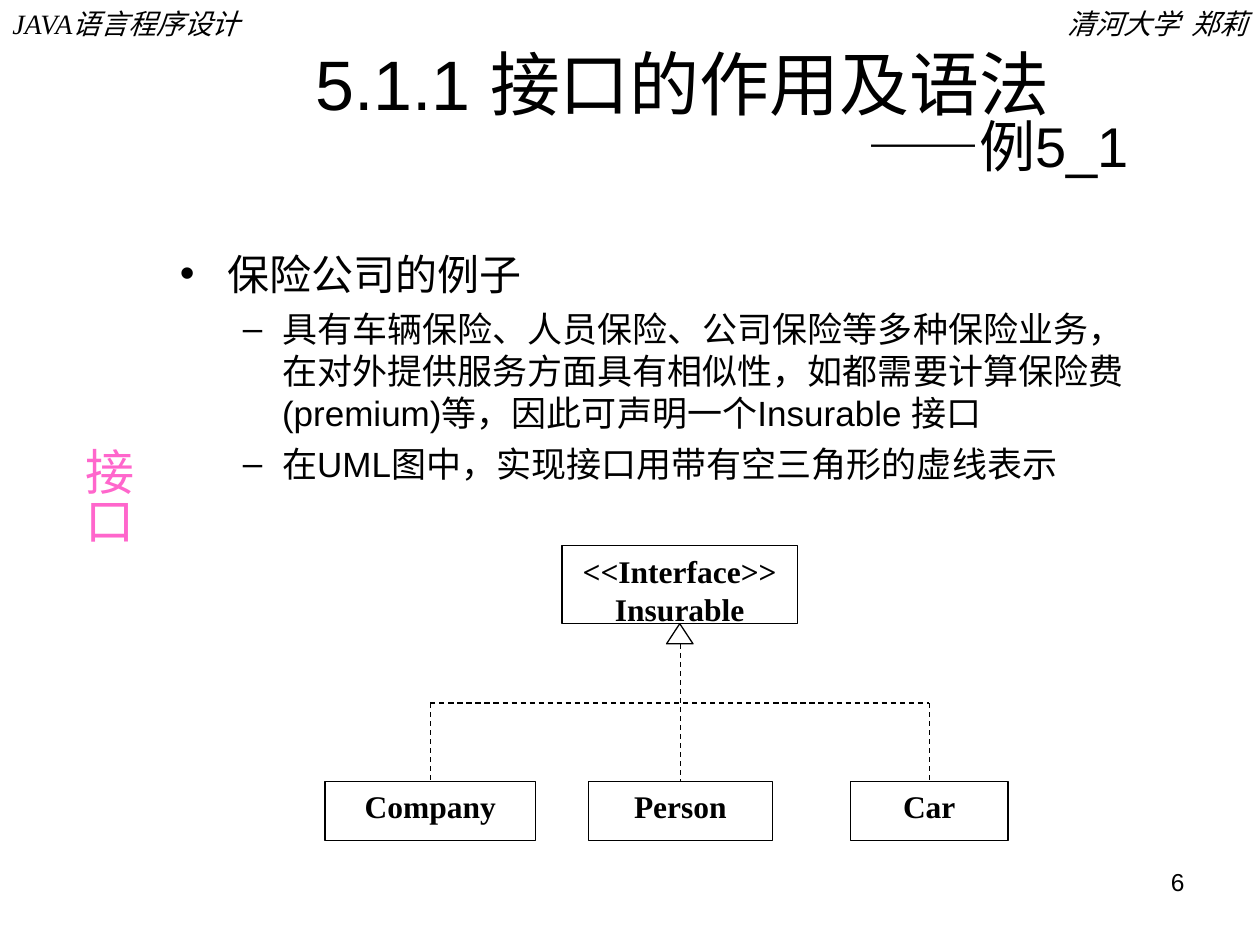
from lxml.etree import SubElement
from pptx import Presentation
from pptx.dml.color import RGBColor
from pptx.enum.dml import MSO_LINE
from pptx.enum.shapes import MSO_CONNECTOR, MSO_SHAPE
from pptx.enum.text import MSO_ANCHOR, PP_ALIGN
from pptx.oxml.ns import qn
from pptx.util import Inches, Pt

COLORS = {"ink": "000000", "side": "FF66CC"}
SANS, SERIF = "Arial", "Times New Roman"
LEFT, CENTER, RIGHT = PP_ALIGN.LEFT, PP_ALIGN.CENTER, PP_ALIGN.RIGHT

HEADERS = [
    ("清河大学  郑莉", 6.92, RIGHT),
    ("JAVA语言程序设计", 0, LEFT),
]
TITLE = [("5.1.1 接口的作用及语法", 40, 0, 0.7), ("——例5_1", 32, 5.01, 0.85)]
POINTS = [
    (0, "保险公司的例子"),
    (1, "具有车辆保险、人员保险、公司保险等多种保险业务，在对外提供服务方面具有相似性，"
        "如都需要计算保险费(premium)等，因此可声明一个Insurable 接口"),
    (1, "在UML图中，实现接口用带有空三角形的虚线表示"),
]
POINT_STYLES = [
    {"bullet": "•", "size": 24, "before": 6, "left": 0.38, "hang": 0.38},
    {"bullet": "–", "size": 20, "before": 5, "left": 0.81, "hang": 0.31},
]
SIDE_LABEL = "接口"
PAGE_NUMBER = "6"
INTERFACE = (["<<Interface>>", "Insurable"], 4.46, 1.87)
CLASSES = [("Company", 2.58, 1.67), ("Person", 4.67, 1.46), ("Car", 6.75, 1.25)]
INTERFACE_TOP, INTERFACE_HEIGHT = 4.33, 0.62
CLASS_TOP, CLASS_HEIGHT = 6.2, 0.47
BUS_Y = 5.58
ARROW_WIDTH, ARROW_HEIGHT = 0.21, 0.16


def color(name):
    return RGBColor.from_string(COLORS[name])


def style(paragraph, size, font=SANS, align=LEFT, ink="ink", bold=None, italic=None):
    paragraph.alignment = align
    paragraph.font.size = Pt(size)
    paragraph.font.name = font
    paragraph.font.color.rgb = color(ink)
    paragraph.font.bold = bold
    paragraph.font.italic = italic


def write(frame, lines):
    frame.word_wrap = True
    frame.text = "\n".join(lines)
    return frame.paragraphs


def add_text(slide, box, lines):
    frame = slide.shapes.add_textbox(*map(Inches, box)).text_frame
    return frame, write(frame, lines)


def add_outline(slide, kind, box):
    shape = slide.shapes.add_shape(kind, *map(Inches, box))
    shape.shadow.inherit = False
    shape.fill.background()
    shape.line.color.rgb = color("ink")
    shape.line.width = Pt(0.75)
    return shape


def add_class(slide, lines, box):
    shape = add_outline(slide, MSO_SHAPE.RECTANGLE, box)
    shape.text_frame.vertical_anchor = MSO_ANCHOR.TOP
    for paragraph in write(shape.text_frame, lines):
        style(paragraph, 18, SERIF, CENTER, bold=True)
    return shape


def add_dashed(slide, start, end):
    line = slide.shapes.add_connector(
        MSO_CONNECTOR.STRAIGHT, *map(Inches, (*start, *end)))
    line.line.color.rgb = color("ink")
    line.line.width = Pt(0.75)
    line.line.dash_style = MSO_LINE.DASH
    SubElement(line._element.spPr, qn("a:effectLst"))
    return line


def add_headings(slide):
    for text, left, align in HEADERS:
        _, (header,) = add_text(slide, (left, 0, 3.08, 0.37), [text])
        style(header, 16, SERIF, align, italic=True)
        header.space_before = Pt(10)

    frame, paragraphs = add_text(
        slide, (1.42, 0.25, 7.99, 1.25), [text for text, *_ in TITLE])
    frame.vertical_anchor = MSO_ANCHOR.BOTTOM
    frame.margin_bottom = Inches(0.08)
    for paragraph, (_, size, indent, spacing) in zip(paragraphs, TITLE):
        style(paragraph, size, align=CENTER)
        paragraph.line_spacing = spacing
        paragraph._p.get_or_add_pPr().set("marL", str(Inches(indent)))


def add_points(slide):
    _, paragraphs = add_text(
        slide, (1.33, 1.92, 7.92, 2.25), [text for _, text in POINTS])
    for paragraph, (level, _) in zip(paragraphs, POINTS):
        look = POINT_STYLES[level]
        style(paragraph, look["size"])
        paragraph.level = level
        paragraph.space_before = Pt(look["before"])
        properties = paragraph._p.get_or_add_pPr()
        properties.set("marL", str(Inches(look["left"])))
        properties.set("indent", str(-Inches(look["hang"])))
        run_defaults = properties.find(qn("a:defRPr"))
        for tag, attributes in (("a:buFont", {"typeface": SANS}),
                                ("a:buChar", {"char": look["bullet"]})):
            run_defaults.addprevious(properties.makeelement(qn(tag), attributes))


def add_diagram(slide):
    lines, left, width = INTERFACE
    add_class(slide, lines, (left, INTERFACE_TOP, width, INTERFACE_HEIGHT))
    middle = left + width / 2
    arrow_top = INTERFACE_TOP + INTERFACE_HEIGHT
    add_outline(slide, MSO_SHAPE.ISOSCELES_TRIANGLE,
                (middle - ARROW_WIDTH / 2, arrow_top, ARROW_WIDTH, ARROW_HEIGHT))

    centers = [left + width / 2 for _, left, width in CLASSES]
    add_dashed(slide, (centers[0], BUS_Y), (centers[-1], BUS_Y))
    starts = [BUS_Y, arrow_top + ARROW_HEIGHT, BUS_Y]
    for (name, left, width), center, start in zip(CLASSES, centers, starts):
        box = add_class(slide, [name], (left, CLASS_TOP, width, CLASS_HEIGHT))
        add_dashed(slide, (center, start), (center, CLASS_TOP)).end_connect(box, 0)


def add_margins(slide):
    frame, (label,) = add_text(slide, (0.48, 1.07, 0.66, 5.75), [SIDE_LABEL])
    style(label, 28, SERIF, LEFT, "side")
    label.space_before = Pt(17.5)
    frame.margin_left = frame.margin_right = Inches(0.05)
    frame.margin_top, frame.margin_bottom = Inches(2.48), Inches(0.1)
    frame._txBody.bodyPr.set("vert", "eaVert")

    _, (number,) = add_text(slide, (7.17, 6.83, 2.33, 0.52), [PAGE_NUMBER])
    style(number, 14, align=RIGHT)


def main():
    deck = Presentation()
    deck.slide_width, deck.slide_height = Inches(10), Inches(7.5)
    slide = deck.slides.add_slide(deck.slide_layouts[6])
    add_headings(slide)
    add_points(slide)
    add_diagram(slide)
    add_margins(slide)
    deck.save("out.pptx")


if __name__ == "__main__":
    main()
